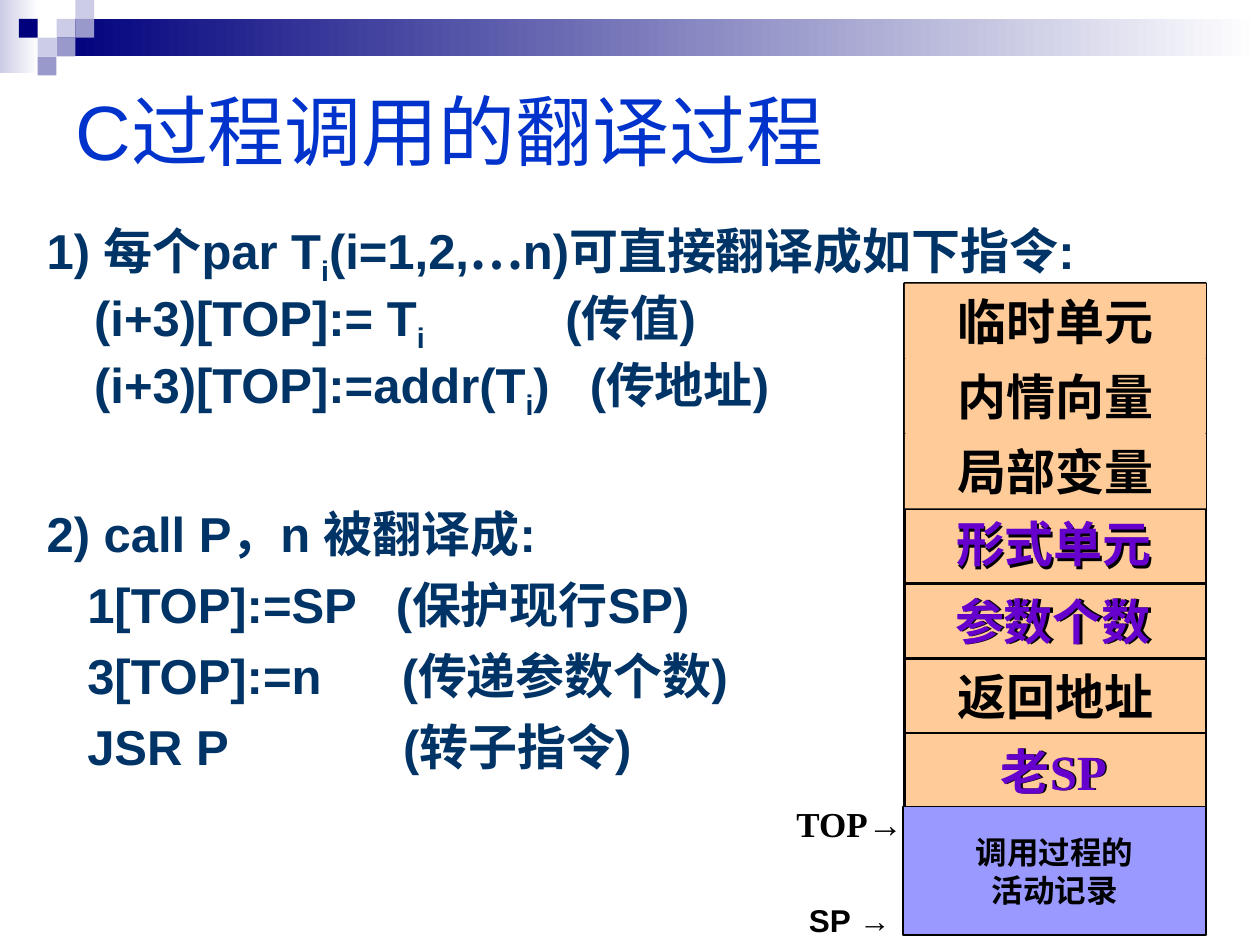
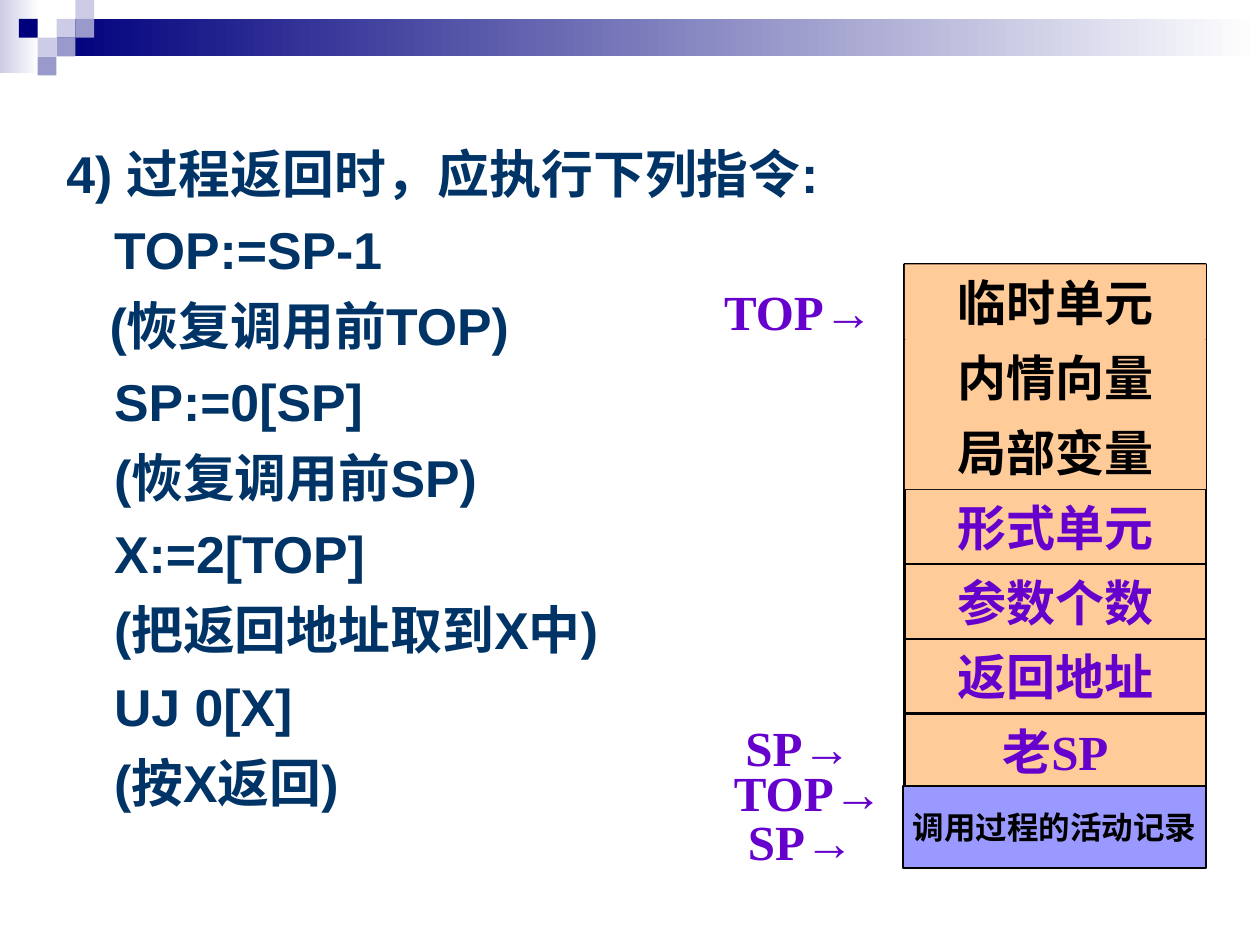
from dataclasses import dataclass

from lxml.etree import SubElement
from pptx import Presentation
from pptx.dml.color import RGBColor
from pptx.enum.shapes import MSO_SHAPE as Shape
from pptx.enum.text import MSO_ANCHOR as Anchor, PP_ALIGN as Align
from pptx.oxml.ns import qn
from pptx.util import Cm, Pt


@dataclass(frozen=True)
class Theme:
    sans: str = "Arial"
    serif: str = "Times New Roman"
    chinese: str = "Noto Sans CJK SC"
    title: str = "0033CC"
    body: str = "003366"
    black: str = "000000"
    accent: str = "6600CC"
    cell: str = "FFCC99"
    caller: str = "9999FF"
    navy: str = "00007D"
    mid: str = "9999CC"
    pale: str = "CCCCE6"
    white: str = "FFFFFF"
    title_size: float = 44
    return_size: float = 29.6
    main_size: float = 28
    label_size: float = 20
    small_size: float = 18


THEME = Theme()


@dataclass(frozen=True)
class Span:
    """A piece of text whose format differs from that of its paragraph."""
    text: str
    changes: dict
    subscript: bool = False


@dataclass(frozen=True)
class Line:
    """A paragraph: its pieces, space before (pt), hanging indent and tab stops (cm)."""
    pieces: tuple
    before: float = 0
    hang: float = 0
    tabs: tuple = ()


def style(color, size=THEME.main_size, name=THEME.serif, bold=True):
    return {"color": color, "size": size, "name": name, "bold": bold}


SUB_I = Span("i", {}, subscript=True)
ARROW = Span("→", {"name": THEME.sans})
BODY = style(THEME.body, name=THEME.sans)
CALLER = style(THEME.black, THEME.small_size, THEME.sans)

HANG = 0.96
STACK_LEFT, STACK_WIDTH, ROW_HEIGHT = 18.24, 6.07, 1.51
ROWS = ("临时单元", "内情向量", "局部变量", "形式单元", "参数个数", "返回地址", "老SP")
OPEN_ROWS = 3
SQUARE = 0.38
SQUARES = ((3, 1, THEME.pale), (4, 0, THEME.pale), (4, 1, THEME.mid),
           (2, 2, THEME.pale), (1, 1, THEME.navy), (3, 2, THEME.mid),
           (2, 3, THEME.mid))


class Deck:
    def __init__(self, theme):
        self.theme = theme
        self.presentation = Presentation()
        self.presentation.slide_width = Cm(25.4)
        self.presentation.slide_height = Cm(19.05)
        self.slide = None

    def new_slide(self):
        self.slide = self.presentation.slides.add_slide(
            self.presentation.slide_layouts[6])
        self.gradient_band(0, 0, 0.79, 1.47, self.theme.pale)
        self.gradient_band(1.14, 0.38, 24.26, 0.76, self.theme.navy)
        for column, row, color in SQUARES:
            self.rectangle(column * SQUARE, row * SQUARE, SQUARE, SQUARE, color)

    def rectangle(self, left, top, width, height, fill, line_width=0):
        shape = self.slide.shapes.add_shape(
            Shape.RECTANGLE, Cm(left), Cm(top), Cm(width), Cm(height))
        shape.shadow.inherit = False
        shape.fill.solid()
        shape.fill.fore_color.rgb = RGBColor.from_string(fill)
        if line_width:
            shape.line.color.rgb = RGBColor.from_string(self.theme.black)
            shape.line.width = Pt(line_width)
        else:
            shape.line.fill.background()
        return shape

    def gradient_band(self, left, top, width, height, color):
        fill = self.rectangle(left, top, width, height, color).fill
        fill.gradient()
        fill.gradient_angle = 0
        for stop, value in zip(fill.gradient_stops, (color, self.theme.white)):
            stop.color.rgb = RGBColor.from_string(value)

    def text_box(self, left, top, width, height, lines, text_style, **layout):
        shape = self.slide.shapes.add_textbox(
            Cm(left), Cm(top), Cm(width), Cm(height))
        self.fill_text(shape, lines, text_style, **layout)

    def centered_label(self, left, top, width, height, lines, text_style):
        self.text_box(left, top, width, height, lines, text_style,
                      align=Align.CENTER, anchor=Anchor.MIDDLE, side=0)

    def text_block(self, left, top, width, height, fill, line_width, lines, text_style):
        shape = self.rectangle(left, top, width, height, fill, line_width)
        self.fill_text(shape, lines, text_style, Align.CENTER, Anchor.MIDDLE, side=0)

    def fill_text(self, shape, lines, text_style, align=Align.LEFT,
                  anchor=Anchor.TOP, side=0.25):
        frame = shape.text_frame
        settings = {"word_wrap": True, "vertical_anchor": anchor,
                    "margin_left": Cm(side), "margin_right": Cm(side),
                    "margin_top": Cm(0.13), "margin_bottom": Cm(0.13)}
        for name, value in settings.items():
            setattr(frame, name, value)
        for index, line in enumerate(lines):
            paragraph = frame.add_paragraph() if index else frame.paragraphs[0]
            self.lay_out(paragraph, line)
            paragraph.alignment = align
            for piece in line.pieces:
                span = piece if isinstance(piece, Span) else Span(piece, {})
                self.add_run(paragraph, span, text_style | span.changes)

    def lay_out(self, paragraph, line):
        properties = paragraph._p.get_or_add_pPr()
        if line.hang:
            properties.set("marL", str(Cm(line.hang)))
            properties.set("indent", str(-Cm(line.hang)))
        if line.tabs:
            tab_list = SubElement(properties, qn("a:tabLst"))
            for position in line.tabs:
                SubElement(tab_list, qn("a:tab"), pos=str(Cm(position)), algn="l")
        paragraph.space_before = Pt(line.before)

    def add_run(self, paragraph, span, text_style):
        run = paragraph.add_run()
        run.text = span.text
        values = dict(text_style)
        run.font.color.rgb = RGBColor.from_string(values.pop("color"))
        values["size"] = Pt(values["size"])
        for name, value in values.items():
            setattr(run.font, name, value)
        properties = run._r.get_or_add_rPr()
        SubElement(properties, qn("a:ea"), typeface=self.theme.chinese)
        if span.subscript:
            properties.set("baseline", "-25000")

    def activation_record(self, top, accented=()):
        """Stack of rows; rows named in accented have coloured text."""
        self.rectangle(STACK_LEFT, top, STACK_WIDTH, ROW_HEIGHT * len(ROWS),
                       self.theme.cell, 1.5)
        for index, name in reversed(list(enumerate(ROWS))):
            color = self.theme.accent if name in accented else self.theme.black
            self.text_block(STACK_LEFT, top + index * ROW_HEIGHT, STACK_WIDTH,
                            ROW_HEIGHT, self.theme.cell,
                            1.5 if index >= OPEN_ROWS else 0,
                            [Line((name,))], style(color))

    def caller_record(self, top, height, *texts):
        self.text_block(18.21, top, 6.1, height, self.theme.caller, 1,
                        [Line((text,)) for text in texts], CALLER)


def build_call_slide(deck):
    deck.new_slide()
    lines = [
        Line(("1) 每个par T", SUB_I, "(i=1,2,", Span("…", {"name": THEME.chinese}),
              "n)可直接翻译成如下指令:"), hang=HANG),
        Line(("\t(i+3)[TOP]:= T", SUB_I, "\t(传值)"), tabs=(HANG, 10.46)),
        Line(("\t(i+3)[TOP]:=addr(T", SUB_I, ")\t(传地址)"), tabs=(HANG, 10.95)),
        Line(("2) call P，n 被翻译成:",), before=47),
    ]
    steps = (("1[TOP]:=SP", "(保护现行SP)", 7.04),
             ("3[TOP]:=n", "(传递参数个数)", 7.16),
             ("JSR P", "(转子指令)", 7.19))
    lines += [Line((f"\t{code}\t{remark}",), before=7, tabs=(0.82, column))
              for code, remark, column in steps]
    deck.text_box(0.69, 4.32, 21.59, 12.9, lines, BODY)

    stack_top = 5.72
    deck.activation_record(stack_top)
    deck.centered_label(
        15.86, 16.26, 2.54, 2.59,
        [Line(("TOP", ARROW)),
         Line((Span("SP →", {"size": THEME.small_size, "name": THEME.sans}),),
              before=32)],
        style(THEME.black, THEME.label_size))
    deck.caller_record(16.26, 2.59, "调用过程的", "活动记录")

    highlight_shifts = {"形式单元": (-0.03, -0.05), "参数个数": (-0.05, 0),
                        "老SP": (-0.03, 0)}
    for name, (shift_x, shift_y) in highlight_shifts.items():
        deck.centered_label(
            STACK_LEFT + shift_x, stack_top + ROWS.index(name) * ROW_HEIGHT + shift_y,
            STACK_WIDTH, ROW_HEIGHT, [Line((name,))], style(THEME.accent))
    deck.text_box(1.27, 0.71, 22.86, 3.81, [Line(("C过程调用的翻译过程",))],
                  style(THEME.title, THEME.title_size, THEME.sans, bold=False),
                  anchor=Anchor.MIDDLE)


def build_return_slide(deck):
    deck.new_slide()
    steps = (("TOP:=SP-1", HANG), ("(恢复调用前TOP)", 0.87),
             ("SP:=0[SP]", HANG), ("(恢复调用前SP)", HANG),
             ("X:=2[TOP]", HANG), ("(把返回地址取到X中)", HANG),
             ("UJ 0[X]", HANG), ("(按X返回)", HANG))
    lines = [Line(("4) 过程返回时，应执行下列指令:",), hang=HANG)]
    lines += [Line((f"\t{text}",), before=8, tabs=(column,)) for text, column in steps]
    deck.text_box(1.09, 2.72, 17.4, 14.81, lines, BODY | {"size": THEME.return_size})

    deck.activation_record(5.33, accented=ROWS[OPEN_ROWS:])
    deck.caller_record(15.85, 1.65, "调用过程的活动记录")
    pointers = (("TOP", 14, 5.46), ("SP", 14, 14.25),
                ("SP", 14.05, 16.15), ("TOP", 14.2, 15.16))
    for name, left, top in pointers:
        deck.centered_label(left, top, 4.19, 1.6, [Line((name, ARROW))],
                            style(THEME.accent))


def main():
    deck = Deck(THEME)
    build_call_slide(deck)
    build_return_slide(deck)
    deck.presentation.save("out.pptx")


if __name__ == "__main__":
    main()
